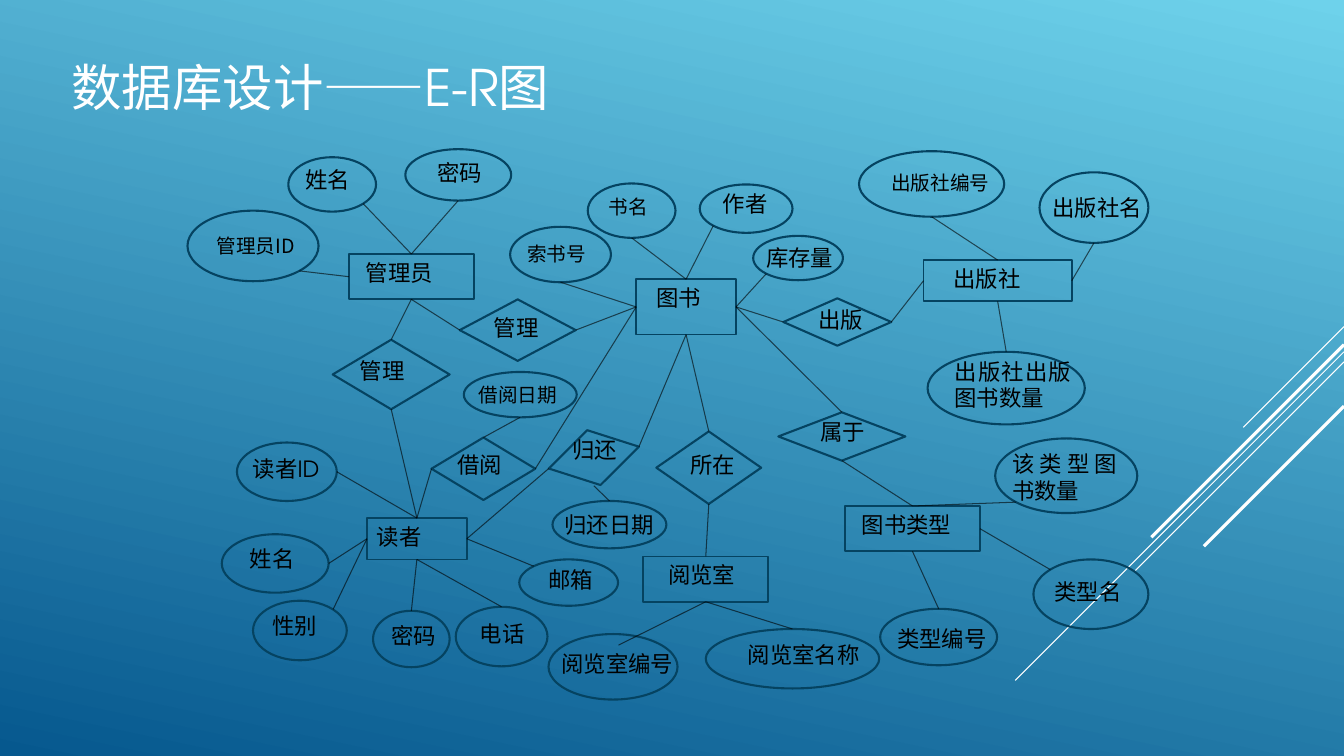
from dataclasses import dataclass
from math import cos, radians, sin

from lxml import etree
from pptx import Presentation
from pptx.dml.color import RGBColor
from pptx.enum.shapes import MSO_CONNECTOR, MSO_SHAPE
from pptx.enum.text import MSO_ANCHOR, MSO_AUTO_SIZE, PP_ALIGN
from pptx.oxml.ns import qn
from pptx.util import Inches, Pt

STRAIGHT = MSO_CONNECTOR.STRAIGHT
RECTANGLE, OVAL, DIAMOND = MSO_SHAPE.RECTANGLE, MSO_SHAPE.OVAL, MSO_SHAPE.DIAMOND
TOP, MIDDLE = MSO_ANCHOR.TOP, MSO_ANCHOR.MIDDLE
LEFT, JUSTIFY = PP_ALIGN.LEFT, PP_ALIGN.JUSTIFY


@dataclass(frozen=True)
class Theme:
    """Colours, fonts, type sizes and line widths of the slide."""
    sky: str = "6ED2EB"
    deep: str = "06588E"
    outline: str = "054361"
    ink: str = "000000"
    white: str = "FFFFFF"
    display: str = "TeX Gyre Adventor"
    chinese: str = "Noto Sans CJK SC"
    title: int = 36
    label: int = 16
    small: int = 14
    thin: float = 0.75
    entity: float = 1.25
    oval: float = 1.5
    thick: float = 2.25
    link_alpha: int = 60


THEME = Theme()

# key: text, outline (left, top, width, height), indent, font
ENTITIES = {
    "reader": ("读者", (3.64, 5.14, 0.99, 0.41), 0, THEME.display),
    "book": ("图书", (6.31, 2.77, 0.99, 0.55), 0.1, THEME.chinese),
    "room": ("阅览室", (6.38, 5.52, 1.24, 0.45), 0.15, THEME.chinese),
    "press": ("出版社", (9.16, 2.58, 1.47, 0.41), 0.2, THEME.chinese),
    "genre": ("图书类型", (8.38, 5.02, 1.34, 0.45), 0.07, THEME.chinese),
    "admin": ("管理员", (3.46, 2.52, 1.24, 0.45), 0.07, THEME.chinese),
}

# key: text, outline, label box, type size
ATTRIBUTES = {
    "reader id": ("读者ID", (2.35, 4.39, 0.99, 0.58), (2.41, 4.47, 1.06, 0.42), THEME.label),
    "reader name": ("姓名", (2.2, 5.3, 1.06, 0.58), (2.38, 5.36, 0.69, 0.45), THEME.label),
    "sex": ("性别", (2.51, 5.96, 0.93, 0.59), (2.6, 6.02, 0.99, 0.42), THEME.label),
    "reader password": ("密码", (3.7, 6.06, 0.76, 0.56), (3.78, 6.12, 0.79, 0.42), THEME.label),
    "phone": ("电话", (4.52, 6.02, 0.91, 0.59), (4.66, 6.1, 0.7, 0.41), THEME.label),
    "mail": ("邮箱", (5.15, 5.55, 0.98, 0.46), (5.34, 5.57, 0.92, 0.42), THEME.label),
    "admin id": ("管理员ID", (1.86, 2.09, 1.3, 0.7), (2.05, 2.27, 1.1, 0.4), THEME.small),
    "admin name": ("姓名", (2.86, 1.56, 0.87, 0.54), (2.93, 1.6, 0.87, 0.42), THEME.label),
    "admin password": ("密码", (4.02, 1.48, 1.05, 0.51), (4.24, 1.53, 0.8, 0.42), THEME.label),
    "call number": ("索书号", (5.06, 2.25, 1, 0.55), (5.13, 2.35, 0.89, 0.43), THEME.small),
    "book title": ("书名", (5.83, 1.82, 0.87, 0.54), (5.94, 1.88, 0.76, 0.36), THEME.small),
    "author": ("作者", (6.94, 1.83, 0.92, 0.48), (7.07, 1.84, 1.12, 0.55), THEME.label),
    "stock": ("库存量", (7.47, 2.34, 0.89, 0.44), (7.5, 2.37, 1.16, 0.42), THEME.label),
    "press id": ("出版社编号", (8.52, 1.5, 1.44, 0.65), (8.74, 1.65, 1.22, 0.42), THEME.small),
    "press name": ("出版社名", (10.31, 1.71, 1.08, 0.7), (10.34, 1.88, 1.13, 0.42), THEME.label),
    "press count": ("出版社出版图书数量", (9.2, 3.49, 1.56, 0.72), (9.37, 3.5, 1.35, 0.56), THEME.label),
    "genre count": ("该类型图书数量", (9.87, 4.35, 1.41, 0.74), (9.94, 4.42, 1.24, 0.48), THEME.label),
    "genre id": ("类型编号", (8.73, 6.04, 1.16, 0.56), (8.8, 6.15, 1.33, 0.4), THEME.label),
    "genre name": ("类型名", (10.25, 5.55, 1.14, 0.69), (10.36, 5.69, 1.28, 0.42), THEME.label),
    "room id": ("阅览室编号", (5.44, 6.29, 1.28, 0.65), (5.47, 6.4, 1.33, 0.42), THEME.label),
    "room name": ("阅览室名称", (7, 6.24, 1.72, 0.59), (7.32, 6.31, 1.41, 0.55), THEME.label),
    "loan date": ("借阅日期", (4.6, 3.69, 1.12, 0.45), (4.65, 3.75, 1.4, 0.42), THEME.small),
    "return date": ("归还日期", (5.48, 4.97, 1.13, 0.47), (5.5, 5.02, 1.39, 0.42), THEME.label),
}

RELATIONS = {
    "loan": ("借阅", (4.28, 4.34, 1.03, 0.62), (4.44, 4.43, 1.04, 0.42), THEME.label),
    "return": ("归还", (5.43, 4.26, 0.92, 0.56), (5.58, 4.28, 1.04, 0.42), THEME.label),
    "located": ("所在", (6.51, 4.28, 1.04, 0.72), (6.75, 4.43, 0.77, 0.42), THEME.label),
    "belongs": ("属于", (7.72, 4.09, 1.26, 0.48), (8.04, 4.1, 1.44, 0.42), THEME.label),
    "publish": ("出版", (7.77, 2.96, 1.07, 0.47), (8.02, 2.99, 1.44, 0.42), THEME.label),
    "manage books": ("管理", (4.56, 2.97, 1.15, 0.61), (4.8, 3.07, 1.18, 0.42), THEME.label),
    "manage readers": ("管理", (3.3, 3.37, 1.16, 0.69), (3.47, 3.49, 1.11, 0.42), THEME.label),
}
ROTATIONS = {"return": 346.4}

# Each link runs from a node and its side to another node and its side
LINKS = [
    ("reader id", "E", "reader", "N"), ("reader name", "E", "reader", "W"),
    ("sex", "NE", "reader", "W"), ("reader password", "N", "reader", "S"),
    ("phone", "N", "reader", "S"), ("mail", "NW", "reader", "E"),
    ("admin id", "SE", "admin", "W"), ("admin name", "SE", "admin", "N"),
    ("admin password", "S", "admin", "N"), ("call number", "S", "book", "W"),
    ("book title", "S", "book", "N"), ("author", "SW", "book", "N"),
    ("stock", "SW", "book", "E"), ("press id", "S", "press", "N"),
    ("press name", "S", "press", "E"), ("press count", "N", "press", "S"),
    ("genre count", "SW", "genre", "N"), ("genre id", "N", "genre", "S"),
    ("genre name", "NW", "genre", "E"), ("room id label", "N", "room", "S"),
    ("room name", "N", "room", "S"), ("loan date", "S", "loan", "N"),
    ("return date", "N", "return", "S"),
    ("loan", "W", "reader", "N"), ("loan", "E", "book", "W"),
    ("return", "W", "reader", "E"), ("return", "E", "book", "S"),
    ("located", "N", "book", "S"), ("located", "S", "room", "N"),
    ("belongs", "N", "book", "E"), ("belongs", "S", "genre", "N"),
    ("publish", "W", "book", "E"), ("publish", "E", "press", "W"),
    ("manage books", "W", "admin", "S"), ("manage books", "E", "book", "W"),
    ("manage readers", "N", "admin", "S"), ("manage readers", "S", "reader", "N"),
]

# Diagonal rays from the right edge: start height, run, width
RAYS = [(3.24, 1, THEME.thin), (3.49, 3.26, THEME.thin), (3.59, 2.07, THEME.thin),
        (3.42, 1.91, THEME.thick), (4.03, 1.39, THEME.thick)]


def write(frame, text, *, size, color, font, align=JUSTIFY, anchor=TOP, indent=0):
    """Put one formatted paragraph into a text frame."""
    frame.word_wrap = True
    frame.auto_size = MSO_AUTO_SIZE.NONE
    frame.vertical_anchor = anchor
    para = frame.paragraphs[0]
    para.alignment = align
    if indent:
        para._p.get_or_add_pPr().set("marL", str(Inches(indent)))
    span = para.add_run()
    span.text = text
    span.font.size = Pt(size)
    span.font.name = font
    span.font.color.rgb = RGBColor.from_string(color)
    east_asian = etree.SubElement(span._r.get_or_add_rPr(), qn("a:ea"))
    east_asian.set("typeface", THEME.chinese)


def side_point(outline, side, rotation=0):
    """Return the point on a compass side of an outline; corners lie on an ellipse."""
    left, top, width, height = outline
    reach = 0.5 * cos(radians(45)) if len(side) == 2 else 0.5
    across = width * reach * (("E" in side) - ("W" in side))
    down = height * reach * (("S" in side) - ("N" in side))
    turn = radians(rotation)
    return (left + width / 2 + across * cos(turn) - down * sin(turn),
            top + height / 2 + across * sin(turn) + down * cos(turn))


class Diagram:
    """Holds the theme and the current slide and draws its elements."""

    def __init__(self, page, theme):
        """Keep the slide and its style."""
        self.page, self.theme = page, theme

    def background(self):
        """Fill the slide with the blue gradient."""
        fill = self.page.background.fill
        fill.gradient()
        fill.gradient_angle = 360 - 102
        for stop, color in zip(fill.gradient_stops, (self.theme.sky, self.theme.deep)):
            stop.color.rgb = RGBColor.from_string(color)

    def title(self, text, place):
        """Move and fill the title placeholder."""
        box = self.page.shapes.title
        box.left, box.top, box.width, box.height = map(Inches, place)
        write(box.text_frame, text, size=self.theme.title, color=self.theme.white,
              font=self.theme.display, align=LEFT, anchor=MIDDLE)

    def outline(self, kind, place, width, rotation=0):
        """Draw an unfilled preset shape."""
        shape = self.page.shapes.add_shape(kind, *map(Inches, place))
        shape.shadow.inherit = False
        shape.fill.background()
        shape.line.color.rgb = RGBColor.from_string(self.theme.outline)
        shape.line.width = Pt(width)
        shape.rotation = rotation
        return shape

    def label(self, text, place, size, font):
        """Add a text box."""
        box = self.page.shapes.add_textbox(*map(Inches, place))
        write(box.text_frame, text, size=size, color=self.theme.ink, font=font)

    def line(self, start, end, color, width, alpha=100):
        """Draw a straight line with the given opacity in percent."""
        line = self.page.shapes.add_connector(STRAIGHT, *map(Inches, (*start, *end)))
        line.line.color.rgb = RGBColor.from_string(color)
        line.line.width = Pt(width)
        properties = line._element.spPr
        etree.SubElement(properties, qn("a:effectLst"))
        if alpha < 100:
            tint = properties.find(".//" + qn("a:srgbClr"))
            etree.SubElement(tint, qn("a:alpha")).set("val", str(alpha * 1000))


def main():
    """Build and save the entity-relationship slide."""
    deck = Presentation()
    deck.slide_width, deck.slide_height = Inches(13.33), Inches(7.5)
    diagram = Diagram(deck.slides.add_slide(deck.slide_layouts[5]), THEME)
    diagram.background()
    for top, run, width in RAYS:
        diagram.line((13.33, top), (13.33 - run, top + run), THEME.white, width)
    diagram.title("数据库设计——E-R图", (0.61, 0.03, 9.33, 1.65))

    places = {"room id label": ATTRIBUTES["room id"][2]}
    for key, (text, place, indent, font) in ENTITIES.items():
        places[key] = place
        shape = diagram.outline(RECTANGLE, place, THEME.entity)
        write(shape.text_frame, text, size=THEME.label, color=THEME.ink, font=font, indent=indent)
    for kind, nodes in ((OVAL, ATTRIBUTES), (DIAMOND, RELATIONS)):
        for key, (text, place, label_place, size) in nodes.items():
            places[key] = place
            diagram.outline(kind, place, THEME.oval, ROTATIONS.get(key, 0))
            font = THEME.display if key == "reader id" else THEME.chinese
            diagram.label(text, label_place, size, font)
    for first, first_side, second, second_side in LINKS:
        start = side_point(places[first], first_side, ROTATIONS.get(first, 0))
        end = side_point(places[second], second_side)
        diagram.line(start, end, THEME.ink, THEME.thin, THEME.link_alpha)
    deck.save("out.pptx")


main()
